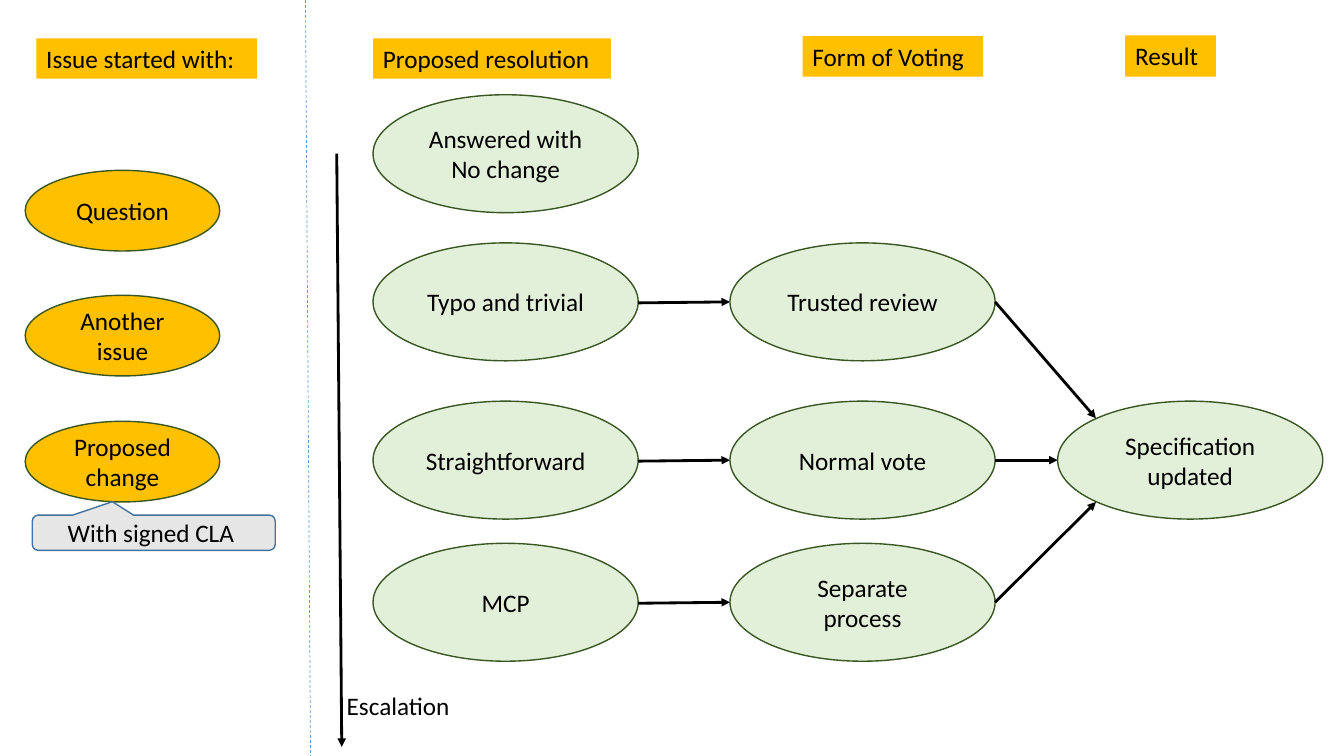
"""Build the slide that shows how an issue is resolved, voted on and escalated."""
from typing import NamedTuple

from lxml.etree import SubElement
from pptx import Presentation
from pptx.dml.color import RGBColor
from pptx.enum.dml import MSO_LINE_DASH_STYLE as Dash
from pptx.enum.shapes import MSO_CONNECTOR as Connector, MSO_SHAPE as Shape
from pptx.enum.text import MSO_ANCHOR as Anchor, MSO_AUTO_SIZE as AutoSize, PP_ALIGN as Align
from pptx.oxml.ns import qn
from pptx.shapes.autoshape import Shape as AutoShape
from pptx.util import Inches, Pt

AMBER, GREEN, DARK_GREEN = "FFC000", "E2F0D9", "385723"
GREY, STEEL, BLUE, BLACK = "E7E6E6", "43739E", "5B9BD5", "000000"
STEP_W, STEP_H = 2.63, 1.17
ISSUE_W, ISSUE_H = 1.93, 0.8
ISSUE_LEFT, RESOLUTION_LEFT, VOTING_LEFT, RESULT_LEFT = 0.25, 3.7, 7.24, 10.49
ANSWER_TOP, TRIVIAL_TOP, NORMAL_TOP, MCP_TOP = 0.94, 2.41, 3.98, 5.39


class Box(NamedTuple):
    text: str
    left: float
    top: float
    width: float
    height: float


class Line(NamedTuple):
    x1: float
    y1: float
    x2: float
    y2: float


def issue(text: str, top: float) -> Box:
    return Box(text, ISSUE_LEFT, top, ISSUE_W, ISSUE_H)


def step(text: str, left: float, top: float) -> Box:
    return Box(text, left, top, STEP_W, STEP_H)


def middle(top: float) -> float:
    return top + STEP_H / 2


def rgb(colour: str) -> RGBColor:
    return RGBColor.from_string(colour)


def write(sp: AutoShape, text: str, align: Align, anchor: Anchor) -> None:
    tf = sp.text_frame
    tf.word_wrap = True
    tf.vertical_anchor = anchor
    p = tf.paragraphs[0]
    p.alignment = align
    r = p.add_run()
    r.text = text
    r.font.name = "Calibri"
    r.font.size = Pt(18)
    r.font.color.rgb = rgb(BLACK)


def add_node(box: Box, fill: str, line: str, kind: Shape = Shape.OVAL) -> AutoShape:
    sp = slide.shapes.add_shape(kind, *map(Inches, box[1:]))
    sp.shadow.inherit = False
    sp.fill.solid()
    sp.fill.fore_color.rgb = rgb(fill)
    sp.line.color.rgb = rgb(line)
    sp.line.width = Pt(1)
    write(sp, box.text, Align.CENTER, Anchor.MIDDLE)
    return sp


def add_label(box: Box, fill: str | None = None) -> None:
    sp = slide.shapes.add_textbox(*map(Inches, box[1:]))
    if fill:
        sp.fill.solid()
        sp.fill.fore_color.rgb = rgb(fill)
    write(sp, box.text, Align.LEFT, Anchor.TOP)
    sp.text_frame.auto_size = AutoSize.SHAPE_TO_FIT_TEXT


def add_line(line: Line, colour: str, width: float, dashed: bool = False) -> None:
    cxn = slide.shapes.add_connector(Connector.STRAIGHT, *map(Inches, line))
    cxn.line.color.rgb = rgb(colour)
    cxn.line.width = Pt(width)
    if dashed:
        cxn.line.dash_style = Dash.DASH
    else:
        SubElement(cxn.line._get_or_add_ln(), qn("a:tailEnd"), type="triangle")
    SubElement(cxn._element.spPr, qn("a:effectLst"))


HEADINGS = [
    Box("Issue started with:", 0.36, 0.38, 2.19, 0.4),
    Box("Proposed resolution", RESOLUTION_LEFT, 0.38, 2.36, 0.4),
    Box("Form of Voting", 7.96, 0.36, 1.79, 0.4),
    Box("Result", 11.16, 0.35, 0.9, 0.41),
]
ISSUES = [
    issue("Question", 1.69),
    issue("Another issue", 2.93),
    issue("Proposed change", 4.18),
]
STEPS = [
    step("Answered with No change", RESOLUTION_LEFT, ANSWER_TOP),
    step("Typo and trivial", RESOLUTION_LEFT, TRIVIAL_TOP),
    step("Straightforward", RESOLUTION_LEFT, NORMAL_TOP),
    step("MCP", RESOLUTION_LEFT, MCP_TOP),
    step("Trusted review", VOTING_LEFT, TRIVIAL_TOP),
    step("Normal vote", VOTING_LEFT, NORMAL_TOP),
    step("Separate process", VOTING_LEFT, MCP_TOP),
    step("Specification updated", RESULT_LEFT, NORMAL_TOP),
]
VOTING_RIGHT = VOTING_LEFT + STEP_W
ARROWS = [
    Line(RESOLUTION_LEFT + STEP_W, middle(top) + 0.01, VOTING_LEFT, middle(top))
    for top in (TRIVIAL_TOP, NORMAL_TOP, MCP_TOP)
] + [
    Line(VOTING_RIGHT, middle(TRIVIAL_TOP), 10.87, 4.15),
    Line(VOTING_RIGHT, middle(NORMAL_TOP), RESULT_LEFT, middle(NORMAL_TOP)),
    Line(VOTING_RIGHT, middle(MCP_TOP), 10.87, 4.98),
    Line(3.34, middle(ANSWER_TOP), 3.39, 7.41),
]

prs = Presentation()
prs.slide_width, prs.slide_height = Inches(13.33), Inches(7.5)
slide = prs.slides.add_slide(prs.slide_layouts[6])

add_line(Line(3.03, 0, 3.08, 7.5), BLUE, 0.5, dashed=True)
for heading in HEADINGS:
    add_label(heading, AMBER)
for box in ISSUES:
    add_node(box, AMBER, DARK_GREEN)
for box in STEPS:
    add_node(box, GREEN, DARK_GREEN)
for arrow in ARROWS:
    add_line(arrow, BLACK, 2)
add_label(Box("Escalation", 3.34, 6.8, 2.36, 0.4))
callout = add_node(Box("With signed CLA ", 0.32, 5.11, 2.41, 0.35), GREY, STEEL,
                   Shape.ROUNDED_RECTANGULAR_CALLOUT)
for i, value in enumerate((-0.17, -0.88, 0.17)):
    callout.adjustments[i] = value

prs.save("out.pptx")
